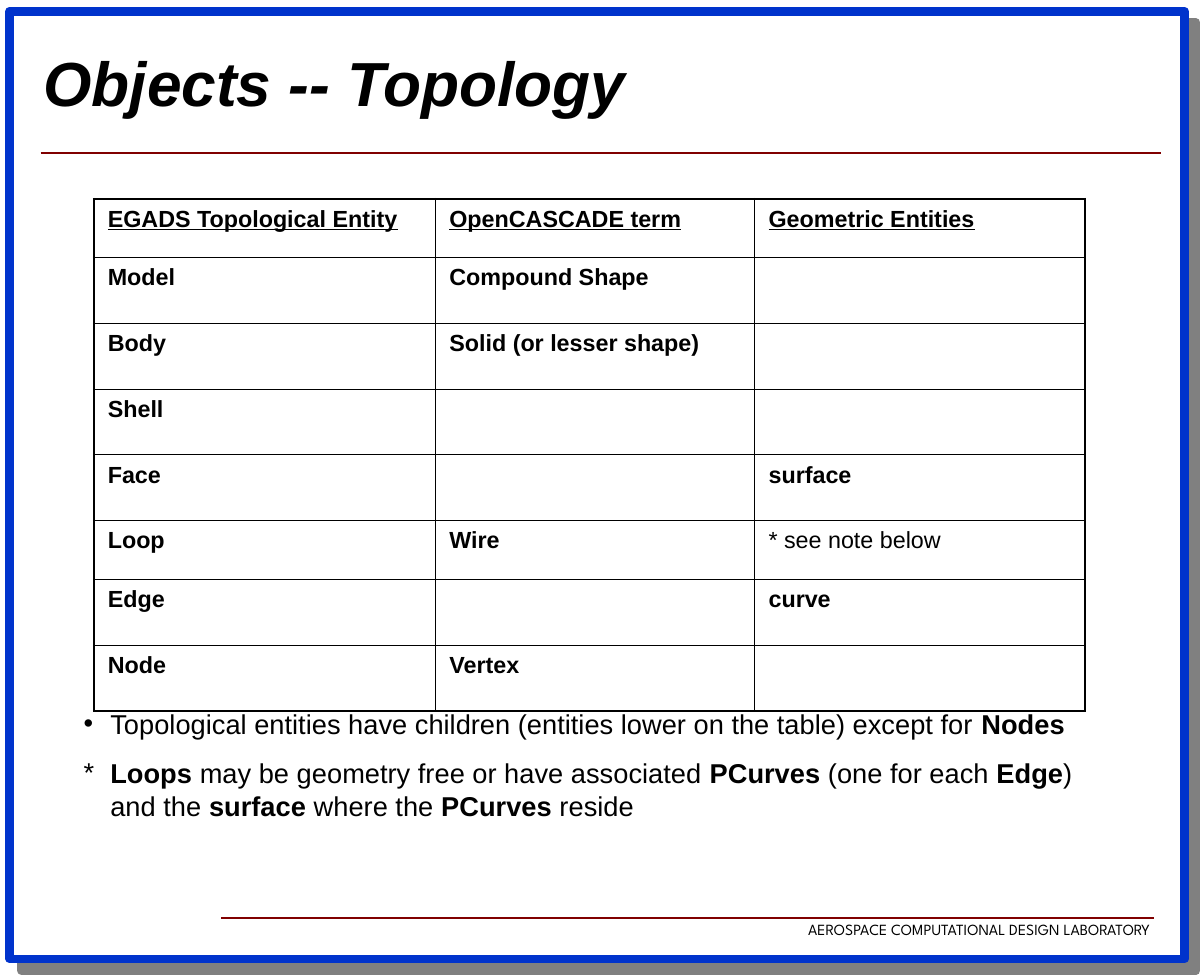
"""Build the slide that lists topological entities beside their geometry."""
import dataclasses

import lxml.etree
import pptx
import pptx.dml.color
import pptx.enum.shapes
import pptx.enum.text
import pptx.oxml.ns
import pptx.util

Inches = pptx.util.Inches
Pt = pptx.util.Pt
RGBColor = pptx.dml.color.RGBColor
qn = pptx.oxml.ns.qn


@dataclasses.dataclass(frozen=True)
class Theme:
    white: str = "FFFFFF"
    black: str = "000000"
    frame: str = "0033CC"
    shadow: str = "808080"
    rule: str = "800000"
    font: str = "Arial"
    footer_font: str = "League Spartan"
    title_size: float = 32
    note_size: float = 14
    table_size: float = 12
    footer_size: float = 8
    outer_border: float = 1.08
    inner_border: float = 0.45


theme = Theme()


def add_xml(parent, tag, **attributes):
    return lxml.etree.SubElement(parent, qn(tag), {name: str(value) for name, value in attributes.items()})


def style_font(font, size, name=theme.font, bold=False):
    font.size = Pt(size)
    font.name = name
    font.bold = bold
    font.color.rgb = RGBColor.from_string(theme.black)


presentation = pptx.Presentation()
presentation.slide_width = Inches(8.6)
presentation.slide_height = Inches(7)
slide = presentation.slides.add_slide(presentation.slide_layouts[5])
shapes = slide.shapes

frame = shapes.add_shape(
    pptx.enum.shapes.MSO_SHAPE.RECTANGLE, Inches(0.07), Inches(0.08), Inches(8.39), Inches(6.77)
)
frame.fill.solid()
frame.fill.fore_color.rgb = RGBColor.from_string(theme.white)
frame.line.color.rgb = RGBColor.from_string(theme.frame)
frame.line.width = Pt(4.5)
frame.shadow.inherit = False
shadow = add_xml(
    frame.element.spPr.find(qn("a:effectLst")), "a:outerShdw",
    blurRad=0, dist=Pt(8.5), dir=45 * 60000, algn="ctr", rotWithShape=0,
)
add_xml(shadow, "a:srgbClr", val=theme.shadow)

for left, right, top in [(1.58, 8.24, 6.56), (0.29, 8.29, 1.09)]:
    rule = shapes.add_connector(
        pptx.enum.shapes.MSO_CONNECTOR.STRAIGHT, Inches(left), Inches(top), Inches(right), Inches(top)
    )
    rule.line.color.rgb = RGBColor.from_string(theme.rule)
    rule.line.width = Pt(1)
    add_xml(rule.element.spPr, "a:effectLst")

footer = shapes.add_textbox(Inches(4.58), Inches(6.53), Inches(3.73), Inches(0.22))
footer.text_frame.word_wrap = True
footer.text_frame.margin_top = footer.text_frame.margin_bottom = Inches(0.04)
footer.text_frame.margin_left = footer.text_frame.margin_right = Inches(0.09)
paragraph = footer.text_frame.paragraphs[0]
paragraph.text = "AEROSPACE COMPUTATIONAL DESIGN LABORATORY"
paragraph.alignment = pptx.enum.text.PP_ALIGN.RIGHT
style_font(paragraph.font, theme.footer_size, theme.footer_font)

title = shapes.title
frame.element.getparent().append(title.element)
title.left, title.top, title.width, title.height = Inches(0.22), Inches(0.23), Inches(7.38), Inches(0.7)
title.text_frame.auto_size = pptx.enum.text.MSO_AUTO_SIZE.NONE
title.text_frame.vertical_anchor = pptx.enum.text.MSO_ANCHOR.MIDDLE
title.text_frame.margin_left = title.text_frame.margin_right = Inches(0.09)
paragraph = title.text_frame.paragraphs[0]
paragraph.text = "Objects -- Topology"
paragraph.alignment = pptx.enum.text.PP_ALIGN.LEFT
style_font(paragraph.font, theme.title_size, bold=True)
paragraph.font.italic = True

rows = [
    ("EGADS Topological Entity", "OpenCASCADE term", "Geometric Entities"),
    ("Model", "Compound Shape", ""),
    ("Body", "Solid (or lesser shape)", ""),
    ("Shell", "", ""),
    ("Face", "", "surface"),
    ("Loop", "Wire", "* see note below"),
    ("Edge", "", "curve"),
    ("Node", "Vertex", ""),
]
column_widths = [2.44, 2.28, 2.36]
row_heights = [0.42 if all(row) else 0.47 for row in rows]
table = shapes.add_table(
    len(rows), len(column_widths), Inches(0.67), Inches(1.42),
    Inches(sum(column_widths)), Inches(sum(row_heights)),
).table
table.first_row = table.horz_banding = False
for column, width in zip(table.columns, column_widths):
    column.width = Inches(width)

for row_index, row in enumerate(rows):
    table.rows[row_index].height = Inches(row_heights[row_index])
    for column_index, text in enumerate(row):
        cell = table.cell(row_index, column_index)
        cell.margin_left = cell.margin_right = Inches(0.1)
        cell.margin_top = cell.margin_bottom = Inches(0.05)
        paragraph = cell.text_frame.paragraphs[0]
        paragraph.space_before = Pt(3)
        style_font(paragraph.font, theme.table_size, bold=not text.startswith("*"))
        paragraph.font.underline = row_index == 0
        if text:
            paragraph.text = text
        outer_sides = {
            "a:lnL": column_index == 0,
            "a:lnR": column_index == len(row) - 1,
            "a:lnT": row_index == 0,
            "a:lnB": row_index == len(rows) - 1,
        }
        for tag, is_outer in outer_sides.items():
            border_width = theme.outer_border if is_outer else theme.inner_border
            border = add_xml(cell._tc.get_or_add_tcPr(), tag, w=Pt(border_width))
            add_xml(add_xml(border, "a:solidFill"), "a:srgbClr", val=theme.black)
        cell.fill.background()

notes = [
    ("•", [("Topological entities have children (entities lower on the table) except for ", False), ("Nodes", True)]),
    ("*", [
        ("Loops ", True), ("may be geometry free or have associated ", False), ("PCurves", True),
        (" (one for each ", False), ("Edge", True), (") and the ", False), ("surface", True),
        (" where the ", False), ("PCurves", True), (" reside", False),
    ]),
]
note_box = shapes.add_textbox(Inches(0.5), Inches(5), Inches(7.5), Inches(0.92))
note_box.text_frame.word_wrap = True
for index, (bullet, runs) in enumerate(notes):
    paragraph = note_box.text_frame.add_paragraph() if index else note_box.text_frame.paragraphs[0]
    paragraph.space_before = Pt(8.8)
    properties = paragraph._p.get_or_add_pPr()
    properties.set("marL", str(Inches(0.19)))
    properties.set("indent", str(Inches(-0.19)))
    add_xml(add_xml(properties, "a:buClr"), "a:srgbClr", val=theme.black)
    add_xml(properties, "a:buFont", typeface=theme.font)
    add_xml(properties, "a:buChar", char=bullet)
    for text, bold in runs:
        run = paragraph.add_run()
        run.text = text
        style_font(run.font, theme.note_size, bold=bold)

presentation.save("out.pptx")
